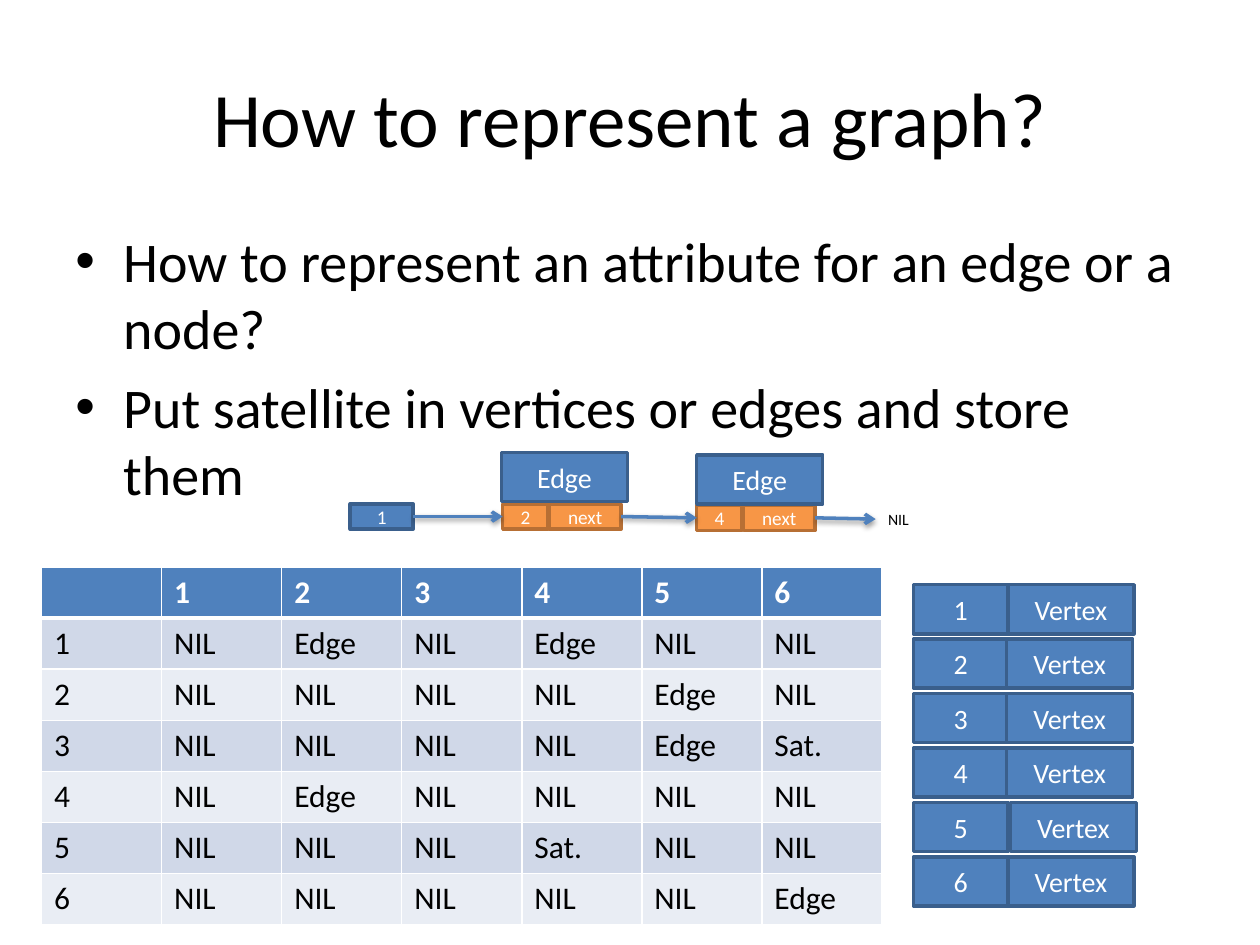
from typing import NamedTuple

from lxml.etree import SubElement
from pptx import Presentation
from pptx.dml.color import RGBColor
from pptx.enum.shapes import MSO_CONNECTOR, MSO_SHAPE
from pptx.enum.text import MSO_ANCHOR, PP_ALIGN
from pptx.oxml import parse_xml
from pptx.oxml.ns import nsdecls, qn
from pptx.util import Inches, Pt

FONT = "Calibri"
BLACK, WHITE = "000000", "FFFFFF"
BLUE, DARK_BLUE = "4F81BD", "3A5F8C"
ORANGE, DARK_ORANGE = "F79646", "B76F34"
BANDS = ("D0D8E8", "E9EDF4")

BULLETS = (
    "How to represent an attribute for an edge or a node?",
    "Put satellite in vertices or edges and store them",
)
VERTEX_COUNT = 6
MATRIX_ENTRIES = {
    (1, 2): "Edge", (1, 4): "Edge", (2, 5): "Edge", (3, 5): "Edge",
    (3, 6): "Sat.", (4, 2): "Edge", (5, 4): "Sat.", (6, 6): "Edge",
}
VERTEX_LEFTS = (8, 7.99, 7.99, 7.99, 8.02, 8)


class Box(NamedTuple):
    label: str
    left: float
    top: float
    width: float
    height: float = 0.39
    size: float = 16
    fill: str = BLUE
    line: str = DARK_BLUE


class ListNode(NamedTuple):
    key: str
    left: float
    top: float


class Arrow(NamedTuple):
    start: tuple[float, float]
    end: tuple[float, float]


LIST_NODES = (ListNode("2", 3.99, 4), ListNode("4", 5.53, 4.01))
EDGE_BOXES = (Box("Edge", 3.98, 3.59, 1), Box("Edge", 5.53, 3.61, 1))
ARROWS = (
    Arrow((3.28, 4.1), (3.99, 4.1)),
    Arrow((4.93, 4.1), (5.53, 4.11)),
    Arrow((6.47, 4.11), (6.95, 4.12)),
)


def color(value: str) -> RGBColor:
    return RGBColor.from_string(value)


def style_runs(paragraph, size: float, text_color: str, bold: bool = False) -> None:
    for run in paragraph.runs:
        run.font.name = FONT
        run.font.size = Pt(size)
        run.font.bold = bold
        run.font.color.rgb = color(text_color)


def add_text(slide, text: str, left: float, top: float, width: float,
             height: float, size: float):
    frame = slide.shapes.add_textbox(
        Inches(left), Inches(top), Inches(width), Inches(height)).text_frame
    frame.word_wrap = True
    frame.text = text
    for paragraph in frame.paragraphs:
        style_runs(paragraph, size, BLACK)
    return frame


def add_bullets(slide) -> None:
    frame = add_text(slide, "\n".join(BULLETS), 0.5, 1.75, 9, 2.25, 32)
    for index, paragraph in enumerate(frame.paragraphs):
        properties = paragraph._p.get_or_add_pPr()
        properties.set("marL", str(Inches(0.38)))
        properties.set("indent", str(-Inches(0.38)))
        SubElement(properties, qn("a:buFont"), typeface="Arial")
        SubElement(properties, qn("a:buChar"), char="•")
        if index:
            paragraph.space_before = Pt(6.4)


def add_box(shapes, box: Box) -> None:
    shape = shapes.add_shape(MSO_SHAPE.RECTANGLE, Inches(box.left), Inches(box.top),
                             Inches(box.width), Inches(box.height))
    shape.shadow.inherit = False
    shape.fill.solid()
    shape.fill.fore_color.rgb = color(box.fill)
    shape.line.color.rgb = color(box.line)
    shape.line.width = Pt(2)
    frame = shape.text_frame
    frame.text = box.label
    frame.vertical_anchor = MSO_ANCHOR.MIDDLE
    frame.paragraphs[0].alignment = PP_ALIGN.CENTER
    style_runs(frame.paragraphs[0], box.size, WHITE)


def add_list_node(slide, node: ListNode) -> None:
    group = slide.shapes.add_group_shape()
    for label, offset, width in ((node.key, 0, 0.36), ("next", 0.37, 0.57)):
        add_box(group.shapes, Box(label, node.left + offset, node.top, width,
                                  0.2, 11, ORANGE, DARK_ORANGE))


def add_arrow(slide, arrow: Arrow) -> None:
    points = (Inches(value) for value in arrow.start + arrow.end)
    connector = slide.shapes.add_connector(MSO_CONNECTOR.STRAIGHT, *points)
    connector.line.color.rgb = color(BLUE)
    connector.line.width = Pt(2)
    SubElement(connector.line._get_or_add_ln(), qn("a:tailEnd"), type="arrow")
    connector._element.spPr.append(parse_xml(
        f'<a:effectLst {nsdecls("a")}><a:outerShdw blurRad="{Pt(3.1)}" '
        f'dist="{Pt(1.6)}" dir="5400000" rotWithShape="0"><a:srgbClr val="{BLACK}">'
        '<a:alpha val="38000"/></a:srgbClr></a:outerShdw></a:effectLst>'))


def add_cell_borders(cell, bottom: float, top: float) -> None:
    properties = cell._tc.get_or_add_tcPr()
    for side, width in (("L", 1), ("R", 1), ("T", top), ("B", bottom)):
        line = SubElement(properties, qn(f"a:ln{side}"), w=str(Pt(width)))
        SubElement(SubElement(line, qn("a:solidFill")), qn("a:srgbClr"), val=WHITE)


def matrix_label(row: int, column: int) -> str:
    if row and column:
        return MATRIX_ENTRIES.get((row, column), "NIL")
    return str(row or column or "")


def add_adjacency_matrix(slide) -> None:
    count = VERTEX_COUNT + 1
    table = slide.shapes.add_table(count, count, Inches(0.33), Inches(4.5),
                                   Inches(6.67), Inches(2.84)).table
    for row in range(count):
        for column in range(count):
            is_header = row == 0
            cell = table.cell(row, column)
            cell.text_frame.text = matrix_label(row, column)
            style_runs(cell.text_frame.paragraphs[0], 18,
                       WHITE if is_header else BLACK, is_header)
            add_cell_borders(cell, bottom=3 if is_header else 1,
                             top=3 if row == 1 else 1)
            cell.fill.solid()
            cell.fill.fore_color.rgb = color(BLUE if is_header else BANDS[(row - 1) % 2])


def add_vertex_list(slide) -> None:
    for index, vertex_left in enumerate(VERTEX_LEFTS):
        top = 4.64 + 0.432 * index
        add_box(slide.shapes, Box(str(index + 1), 7.25, top, 0.75))
        add_box(slide.shapes, Box("Vertex", vertex_left, top, 1))


def add_adjacency_list(slide) -> None:
    add_box(slide.shapes, Box("1", 2.78, 4, 0.5, 0.2, 11))
    for node in LIST_NODES:
        add_list_node(slide, node)
    for arrow in ARROWS:
        add_arrow(slide, arrow)
    add_text(slide, "NIL", 6.95, 4, 0.6, 0.25, 9)
    for box in EDGE_BOXES:
        add_box(slide.shapes, box)


def main() -> None:
    presentation = Presentation()
    presentation.slide_width = Inches(10)
    presentation.slide_height = Inches(7.5)
    slide = presentation.slides.add_slide(presentation.slide_layouts[6])

    title = add_text(slide, "How to represent a graph?", 0.5, 0.3, 9, 1.25, 44)
    title.vertical_anchor = MSO_ANCHOR.MIDDLE
    title.paragraphs[0].alignment = PP_ALIGN.CENTER
    add_bullets(slide)
    add_adjacency_matrix(slide)
    add_vertex_list(slide)
    add_adjacency_list(slide)
    presentation.save("out.pptx")


if __name__ == "__main__":
    main()
